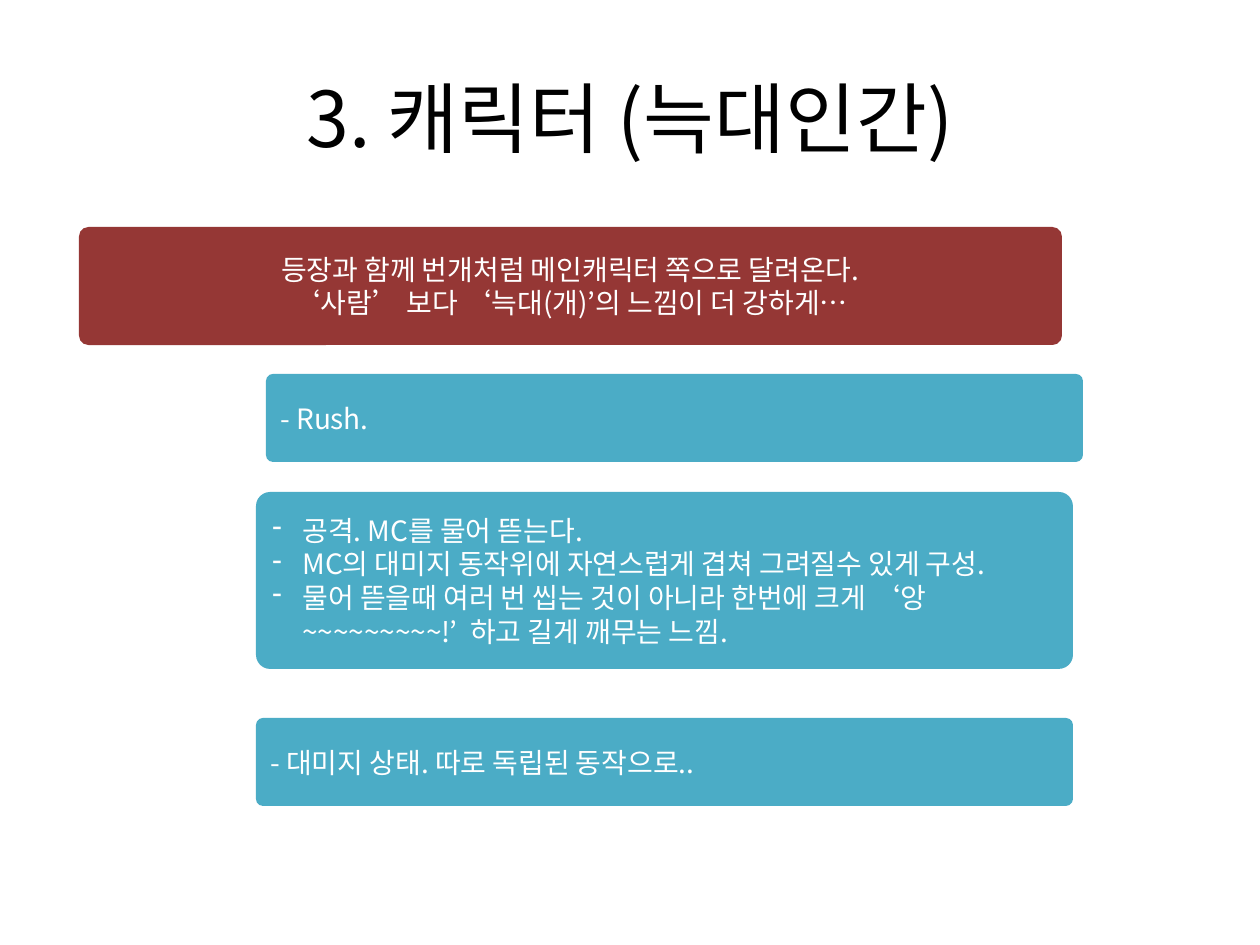
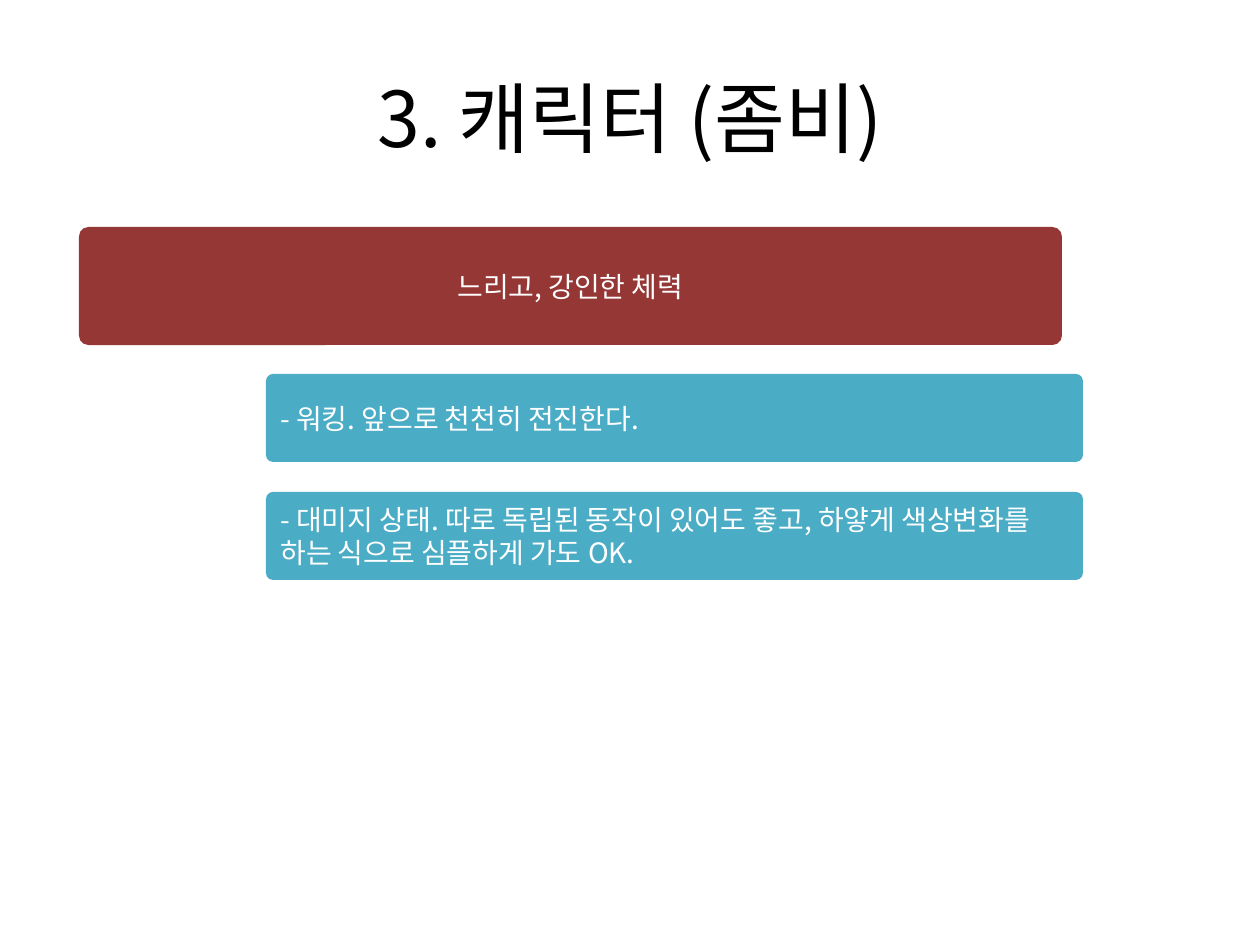
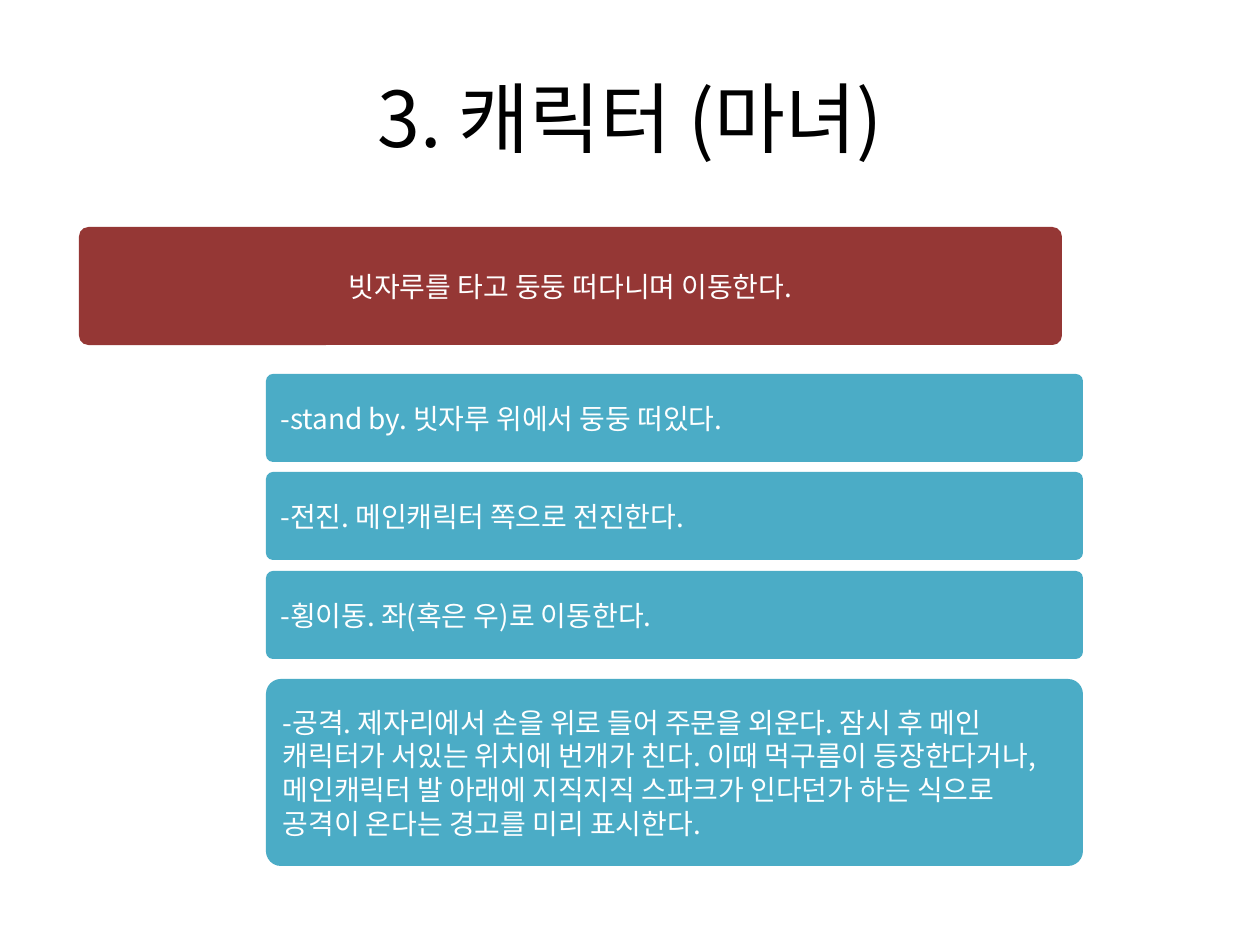
from pptx import Presentation
from pptx.dml.color import RGBColor
from pptx.enum.shapes import MSO_SHAPE
from pptx.enum.text import MSO_ANCHOR, PP_ALIGN
from pptx.oxml.ns import qn
from pptx.util import Pt
from lxml import etree

ROUNDED = MSO_SHAPE.ROUNDED_RECTANGLE
MIDDLE = MSO_ANCHOR.MIDDLE
CENTER, LEFT = PP_ALIGN.CENTER, PP_ALIGN.LEFT

SCALE = 914400 / 126
FONT = "Noto Sans CJK KR"
COLORS = {"title": "000000", "text": "FFFFFF", "summary": "953735", "action": "4BACC6"}
TITLE_FORMAT = {"size": Pt(44), "name": FONT}
BODY_FORMAT = {"size": Pt(16), "name": FONT}

PAGE_SIZE = (1260, 945)
TITLE_BOX = (63, 38, 1134, 158)
SUMMARY_BOX = (79, 227, 983, 118)
ACTION_LEFT, ACTION_WIDTH, ACTION_HEIGHT = 266, 817, 88
CORNER = 0.08
BULLET_INDENT = 30

CHARACTERS = [
    {
        "title": "3. 캐릭터 (늑대인간)",
        "summary": [
            "등장과 함께 번개처럼 메인캐릭터 쪽으로 달려온다.",
            "‘사람’ 보다 ‘늑대(개)’의 느낌이 더 강하게…",
        ],
        "actions": [
            {"gap": 29, "lines": ["- Rush."]},
            {
                "gap": 30, "height": 177, "shift": -10, "bullet": "-",
                "lines": [
                    "공격. MC를 물어 뜯는다.",
                    "MC의 대미지 동작위에 자연스럽게 겹쳐 그려질수 있게 구성.",
                    "물어 뜯을때 여러 번 씹는 것이 아니라 한번에 크게 ‘앙~~~~~~~~~!’  하고 길게 깨무는 느낌.",
                ],
            },
            {"gap": 49, "shift": -10, "lines": ["- 대미지 상태. 따로 독립된 동작으로.."]},
        ],
    },
    {
        "title": "3. 캐릭터 (좀비)",
        "summary": ["느리고, 강인한 체력"],
        "actions": [
            {"gap": 29, "lines": ["- 워킹. 앞으로 천천히 전진한다."]},
            {"gap": 30, "lines": [
                "- 대미지 상태. 따로 독립된 동작이 있어도 좋고, 하얗게 "
                "색상변화를 하는 식으로 심플하게 가도 OK."]},
        ],
    },
    {
        "title": "3. 캐릭터 (마녀)",
        "summary": ["빗자루를 타고 둥둥 떠다니며 이동한다."],
        "actions": [
            {"gap": 29, "lines": ["-stand by. 빗자루 위에서 둥둥 떠있다."]},
            {"gap": 10, "lines": ["-전진. 메인캐릭터 쪽으로 전진한다."]},
            {"gap": 11, "lines": ["-횡이동. 좌(혹은 우)로 이동한다."]},
            {"gap": 20, "height": 187, "lines": [
                "-공격. 제자리에서 손을 위로 들어 주문을 외운다. 잠시 후 메인 "
                "캐릭터가 서있는 위치에 번개가 친다. 이때 먹구름이 등장한다거나, "
                "메인캐릭터 발 아래에 지직지직 스파크가 인다던가 하는 식으로 "
                "공격이 온다는 경고를 미리 표시한다."]},
        ],
    },
]


def emu(pixels):
    return round(pixels * SCALE)


def color(name):
    return RGBColor.from_string(COLORS[name])


def add_bullet(para, mark):
    properties = para._p.get_or_add_pPr()
    properties.set("marL", str(emu(BULLET_INDENT)))
    properties.set("indent", str(-emu(BULLET_INDENT)))
    etree.SubElement(properties, qn("a:buChar")).set("char", mark)


def write(box, lines, text_color, formats, align, bullet=None):
    frame = box.text_frame
    frame.word_wrap = True
    frame.vertical_anchor = MIDDLE
    for index, line in enumerate(lines):
        para = frame.add_paragraph() if index else frame.paragraphs[0]
        para.alignment = align
        span = para.add_run()
        span.text = line
        for key, value in formats.items():
            setattr(span.font, key, value)
        span.font.color.rgb = color(text_color)
        etree.SubElement(span.font._element, qn("a:ea")).set("typeface", FONT)
        if bullet:
            add_bullet(para, bullet)


def add_title(page, title):
    box = page.shapes.add_textbox(*map(emu, TITLE_BOX))
    write(box, [title], "title", TITLE_FORMAT, CENTER)


def add_panel(page, bounds, fill, lines, align, bullet=None):
    box = page.shapes.add_shape(ROUNDED, *map(emu, bounds))
    box.adjustments[0] = CORNER
    box.shadow.inherit = False
    box.fill.solid()
    box.fill.fore_color.rgb = color(fill)
    box.line.fill.background()
    write(box, lines, "text", BODY_FORMAT, align, bullet)


def add_character(deck, character):
    page = deck.slides.add_slide(deck.slide_layouts[6])
    add_title(page, character["title"])
    add_panel(page, SUMMARY_BOX, "summary", character["summary"], CENTER)
    bottom = SUMMARY_BOX[1] + SUMMARY_BOX[3]
    for action in character["actions"]:
        top = bottom + action["gap"]
        height = action.get("height", ACTION_HEIGHT)
        left = ACTION_LEFT + action.get("shift", 0)
        add_panel(page, (left, top, ACTION_WIDTH, height), "action",
                  action["lines"], LEFT, action.get("bullet"))
        bottom = top + height


def main():
    deck = Presentation()
    deck.slide_width, deck.slide_height = map(emu, PAGE_SIZE)
    for character in CHARACTERS:
        add_character(deck, character)
    deck.save("out.pptx")


if __name__ == "__main__":
    main()
